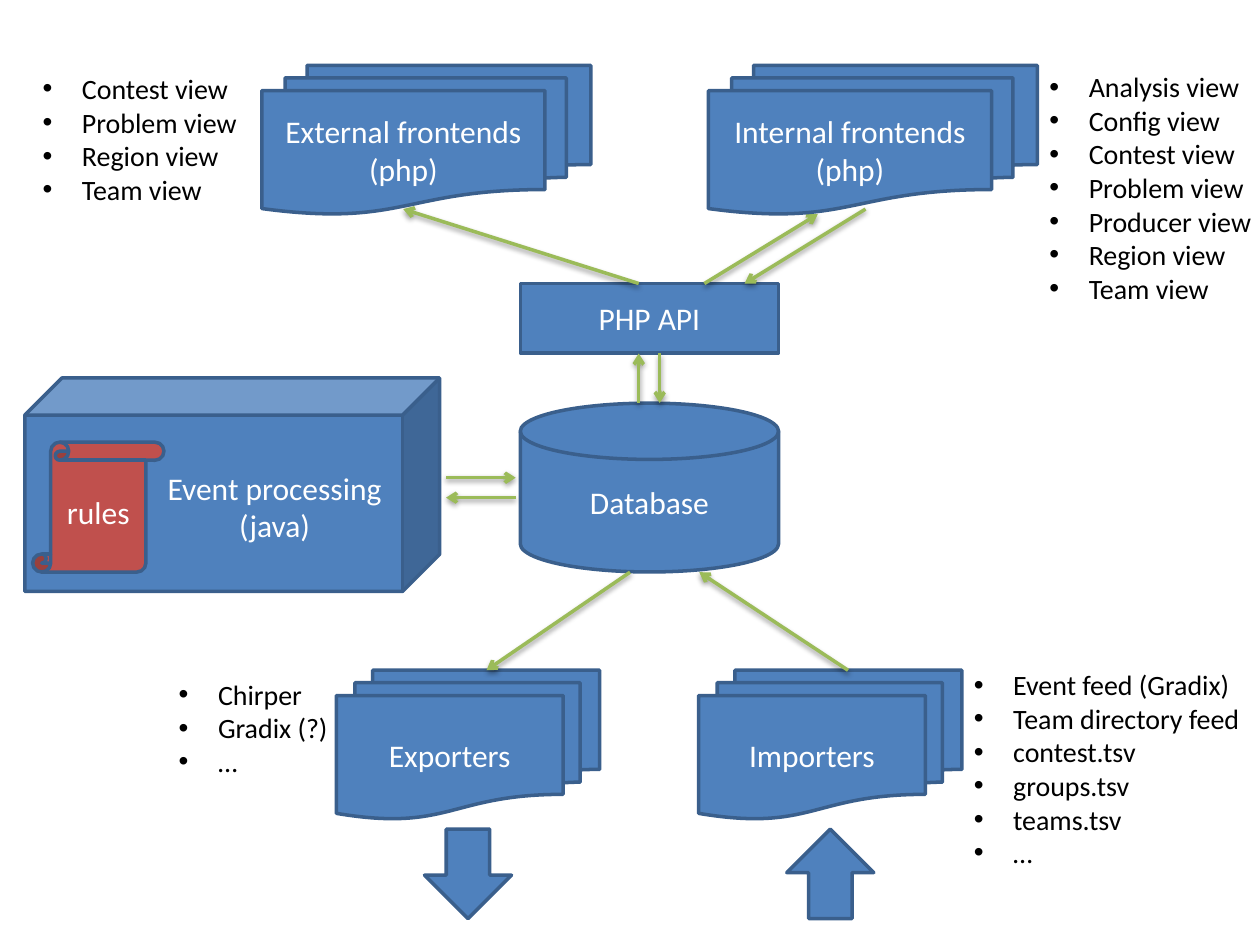
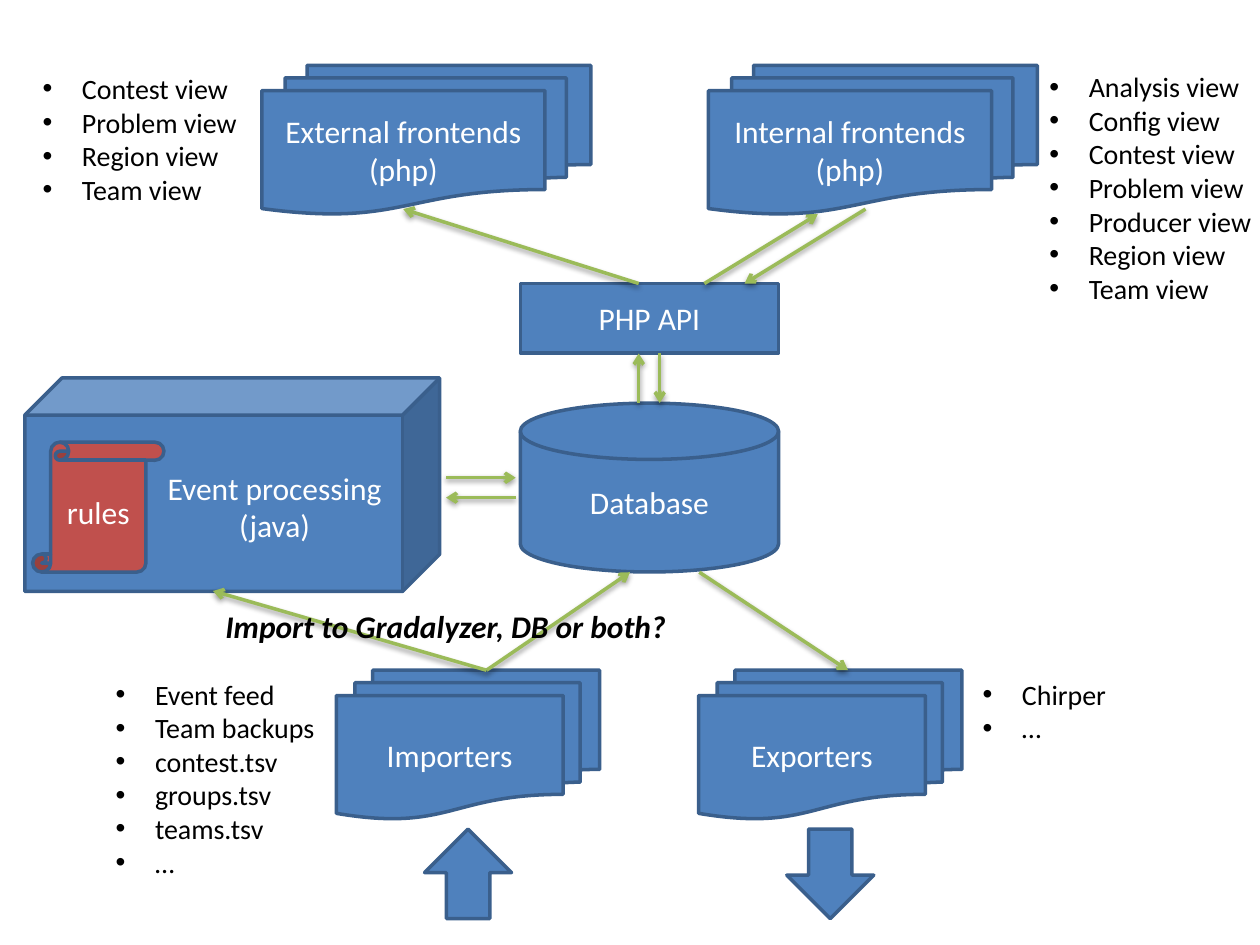
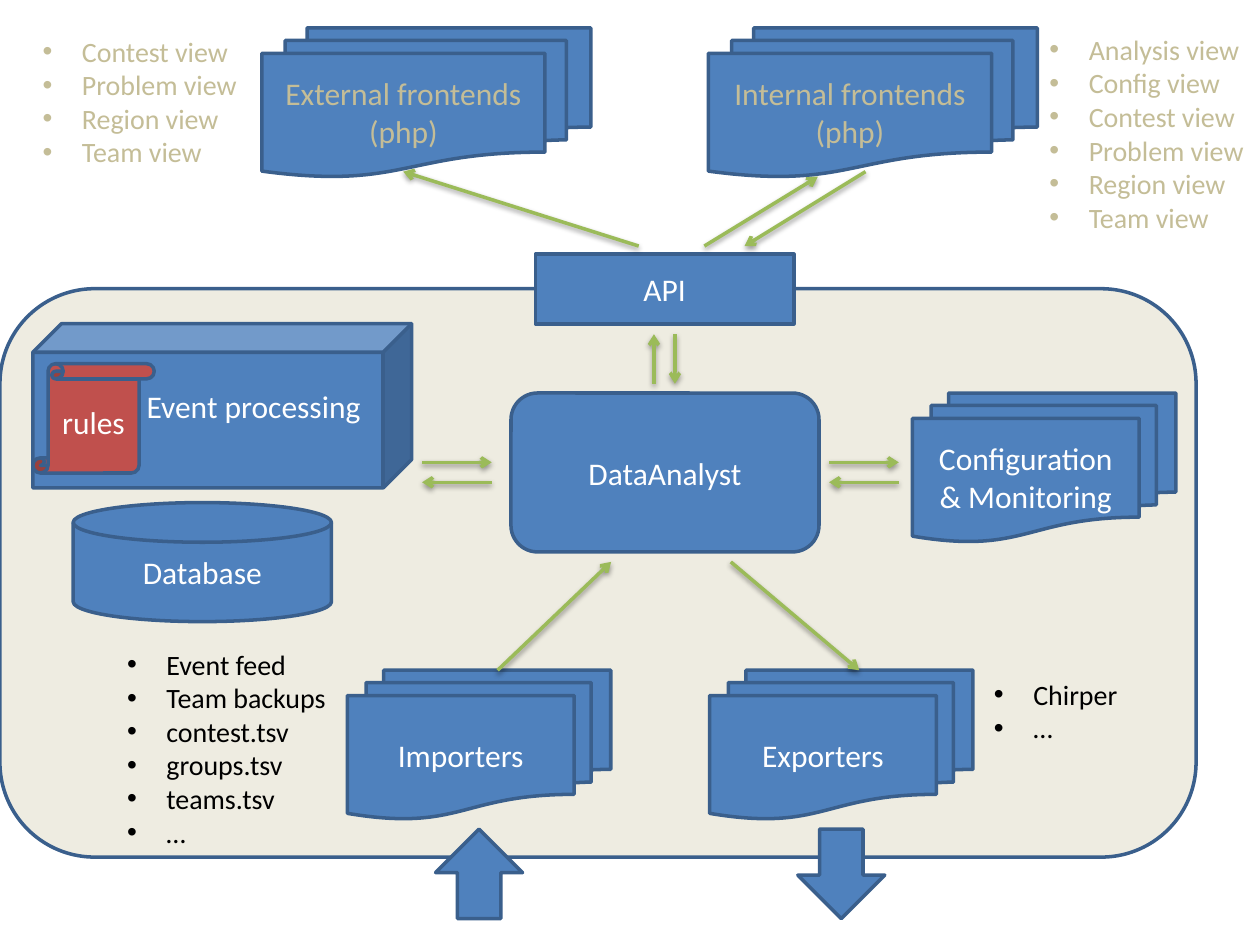
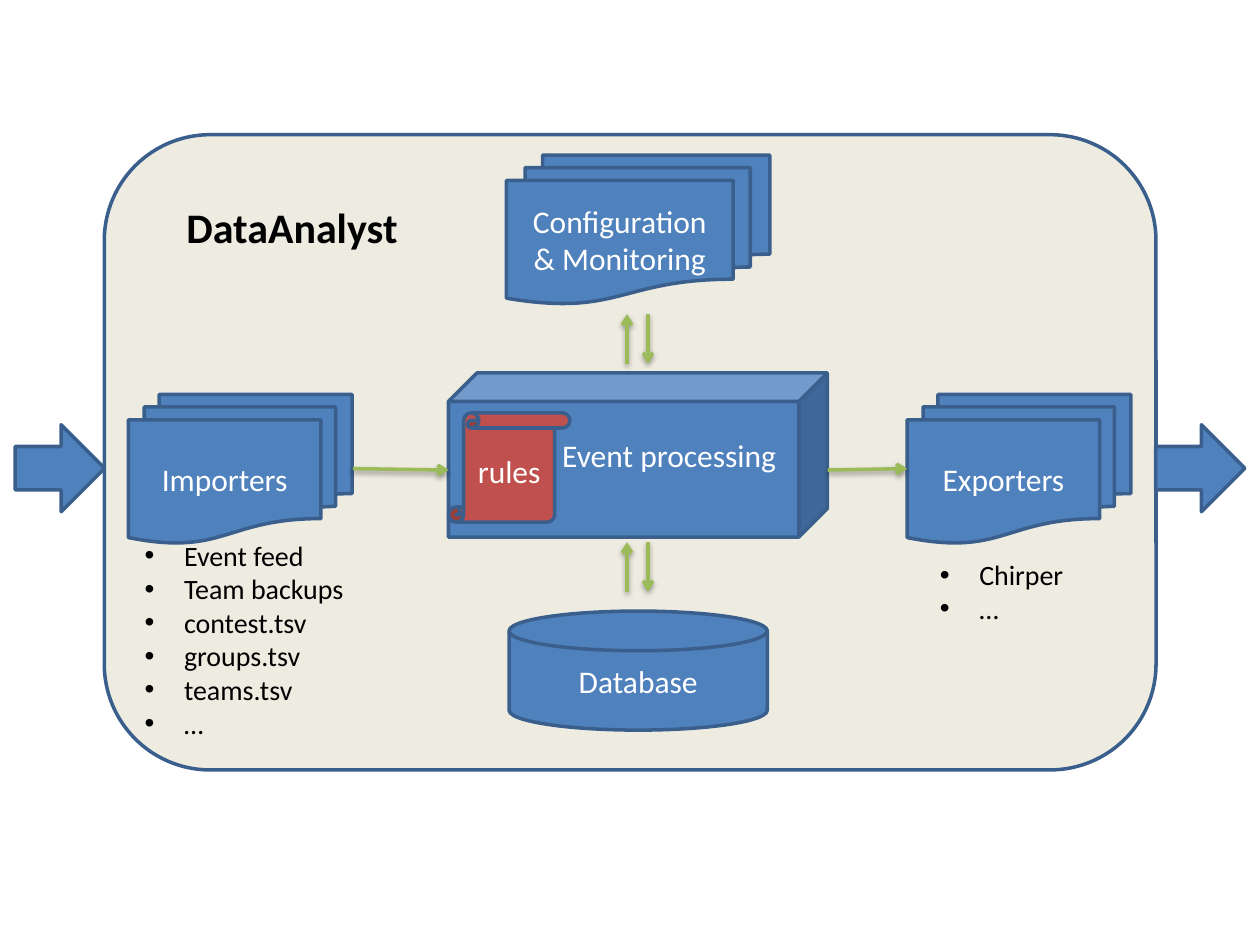
"""Build four architecture diagrams of a contest analysis system."""
from pptx import Presentation
from pptx.dml.color import RGBColor
from pptx.enum.shapes import MSO_CONNECTOR, MSO_SHAPE
from pptx.enum.text import MSO_ANCHOR, MSO_AUTO_SIZE, PP_ALIGN
from pptx.oxml import parse_xml
from pptx.oxml.ns import nsdecls
from pptx.util import Pt

BLUE = RGBColor(0x4F, 0x81, 0xBD)
OUTLINE = RGBColor(0x3A, 0x5F, 0x8C)
RED = RGBColor(0xC0, 0x50, 0x4D)
GREEN = RGBColor(0x9B, 0xBB, 0x59)
CREAM = RGBColor(0xEE, 0xEC, 0xE1)
TAN = RGBColor(0xC4, 0xBD, 0x97)
WHITE = RGBColor(0xFF, 0xFF, 0xFF)
BLACK = RGBColor(0, 0, 0)
FONT = "Calibri"

DOCUMENTS = MSO_SHAPE.FLOWCHART_MULTIDOCUMENT
DISK = MSO_SHAPE.FLOWCHART_MAGNETIC_DISK
PANEL = MSO_SHAPE.ROUNDED_RECTANGLE
ADJUSTMENTS = {MSO_SHAPE.CUBE: 0.174, MSO_SHAPE.VERTICAL_SCROLL: 0.139}

IMPORTS = ["Event feed", "Team backups", "contest.tsv", "groups.tsv", "teams.tsv", "…"]
EXPORTS = ["Chirper", "…"]
EXTERNAL_VIEWS = ["Contest view", "Problem view", "Region view", "Team view"]
INTERNAL_VIEWS = ["Analysis view", "Config view", *EXTERNAL_VIEWS]
PRODUCER_VIEWS = INTERNAL_VIEWS[:4] + ["Producer view"] + INTERNAL_VIEWS[4:]


def add_block(slide, kind, box, lines=(), fill=BLUE, color=WHITE, size=18,
              align=PP_ALIGN.CENTER, bullets=False, bold=False, italic=False, rotation=0):
    """Add a filled shape, or a text box when kind is None."""
    box = [Pt(length) for length in box]
    if kind is None:
        shape = slide.shapes.add_textbox(*box)
        shape.text_frame.word_wrap = False
        shape.text_frame.auto_size = MSO_AUTO_SIZE.SHAPE_TO_FIT_TEXT
    else:
        shape = slide.shapes.add_shape(kind, *box)
        shape.shadow.inherit = False
        shape.fill.solid()
        shape.fill.fore_color.rgb = fill
        shape.line.color.rgb = OUTLINE
        shape.line.width = Pt(2)
        shape.rotation = rotation
        shape.text_frame.vertical_anchor = MSO_ANCHOR.MIDDLE
        if kind in ADJUSTMENTS:
            shape.adjustments[0] = ADJUSTMENTS[kind]
    if not lines:
        return
    shape.text_frame.text = "\n".join(lines)
    for paragraph in shape.text_frame.paragraphs:
        paragraph.alignment = align
        font = paragraph.runs[0].font
        font.name, font.size, font.bold, font.italic = FONT, Pt(size), bold, italic
        font.color.rgb = color
        if bullets:
            properties = paragraph._p.get_or_add_pPr()
            properties.set("marL", str(Pt(22.5)))
            properties.set("indent", str(-Pt(22.5)))
            properties.append(parse_xml(f'<a:buFont {nsdecls("a")} typeface="Arial"/>'))
            properties.append(parse_xml(f'<a:buChar {nsdecls("a")} char="•"/>'))


def add_arrows(slide, *segments):
    """Add shadowed green arrows, each given as start x, y and end x, y."""
    for segment in segments:
        arrow = slide.shapes.add_connector(MSO_CONNECTOR.STRAIGHT, *[Pt(v) for v in segment])
        arrow.line.color.rgb = GREEN
        arrow.line.width = Pt(2)
        arrow.line._get_or_add_ln().append(
            parse_xml(f'<a:tailEnd {nsdecls("a")} type="arrow"/>'))
        arrow._element.spPr.append(parse_xml(
            f'<a:effectLst {nsdecls("a")}>'
            f'<a:outerShdw blurRad="{Pt(3.1)}" dist="{Pt(1.6)}" dir="5400000" rotWithShape="0">'
            '<a:srgbClr val="000000"><a:alpha val="38000"/></a:srgbClr>'
            '</a:outerShdw></a:effectLst>'))


prs = Presentation()
prs.slide_width, prs.slide_height = Pt(720), Pt(540)
slides = [prs.slides.add_slide(prs.slide_layouts[6]) for _ in range(4)]
first, second, third, fourth = slides
listing = dict(color=BLACK, size=16, align=PP_ALIGN.LEFT, bullets=True)

add_block(third, PANEL, (0, 165, 683.5, 324.8), fill=CREAM)
add_block(fourth, PANEL, (59.6, 77, 601, 363), fill=CREAM)

for slide in (first, second):
    add_block(slide, DISK, (297.3, 230.4, 147.6, 96.5), ["Database"])
    add_block(slide, MSO_SHAPE.CUBE, (14.2, 216, 237, 122))
    add_block(slide, MSO_SHAPE.RECTANGLE, (297.3, 162, 147.6, 39.8), ["PHP API"])
    add_block(slide, MSO_SHAPE.VERTICAL_SCROLL, (18.7, 252.7, 75, 74.2), ["rules"], fill=RED)
    add_block(slide, None, (87.8, 264.2, 138.2, 51), ["Event processing", "(java)"])

for slide, left, top in ((third, 18.8, 185), (fourth, 256.3, 213.1)):
    add_block(slide, MSO_SHAPE.CUBE, (left, top, 216.5, 93.8))
    add_block(slide, MSO_SHAPE.VERTICAL_SCROLL, (left, top + 22.8, 69.4, 62.5), ["rules"], fill=RED)
    add_block(slide, None, (left + 57, top + 32.5, 138.2, 29), ["Event processing"])

add_block(third, DISK, (41.8, 287.2, 147.6, 68), ["Database"])
add_block(third, MSO_SHAPE.RECTANGLE, (306, 145.3, 147.6, 39.8), ["API"])
add_block(third, PANEL, (292, 224.6, 176, 90.8), ["DataAnalyst"])
add_block(third, DOCUMENTS, (521.4, 224.6, 150.5, 85), ["Configuration & Monitoring"])

for slide, x, y in ((first, 365, 202), (second, 365, 202), (third, 373.7, 191),
                    (fourth, 358.3, 309.8), (fourth, 358.3, 179.5)):
    add_arrows(slide, (x, y + 28.3, x, y), (x + 12, y, x + 12, y + 28.3))
for slide, x, y in ((first, 254.9, 273), (second, 254.9, 273),
                    (third, 241.2, 264.2), (third, 473.8, 264.2)):
    add_arrows(slide, (x, y, x + 39.8, y), (x + 39.8, y + 11.4, x, y + 11.4))

for slide, shift, rise, left_name, right_name, left_turn, color, views in (
        (first, 0, 0, "Exporters", "Importers", 0, BLACK, PRODUCER_VIEWS),
        (second, 0, 0, "Importers", "Exporters", 180, BLACK, PRODUCER_VIEWS),
        (third, 6.3, 21.4, "Importers", "Exporters", 180, TAN, INTERNAL_VIEWS)):
    for left, name, turn in ((192.2, left_name, left_turn), (399.2, right_name, 180 - left_turn)):
        add_block(slide, DOCUMENTS, (left + shift, 383, 150.5, 85), [name])
        add_block(slide, MSO_SHAPE.DOWN_ARROW, (left + shift + 50.4, 473.8, 49.7, 51.1), rotation=turn)
    add_arrows(slide,
               (365, 162 - rise, 230.4, 119.5 - rise),
               (402.5, 162 - rise, 467.3, 122.4 - rise),
               (494.6, 119.5 - rise, 425.5, 162 - rise))
    for left, name in ((149.6, "External frontends"), (404.8, "Internal frontends")):
        add_block(slide, DOCUMENTS, (left, 37.4 - rise, 188, 85), [name, "(php)"],
                  color=WHITE if color == BLACK else TAN)
    view_list = {**listing, "color": color}
    add_block(slide, None, (17.3, 37.4 - rise, 126.7, 85), EXTERNAL_VIEWS, **view_list)
    add_block(slide, None, (592.6, 36.3 - rise, 131, 19.3 * len(views) + 8), views, **view_list)

add_arrows(first, (360, 327, 278, 383), (484.6, 383, 399.6, 327))
add_block(first, None, (549.4, 378, 168.5, 126),
          ["Event feed (Gradix)", "Team directory feed", *IMPORTS[2:]], **listing)
add_block(first, None, (95, 383.4, 106, 67.7), ["Chirper", "Gradix (?)", "…"], **listing)

add_arrows(second, (278, 383, 360, 327), (399.6, 327, 484.6, 383), (278, 383, 121.7, 337.7))
add_block(second, None, (121.7, 343.4, 290, 28.8), ["Import to Gradalyzer, DB or both?"],
          color=BLACK, align=PP_ALIGN.LEFT, bold=True, italic=True)

add_arrows(third, (284.4, 383, 349.2, 321.1), (417.6, 321.1, 491, 383))

add_block(fourth, DISK, (290.9, 349.2, 147.6, 68), ["Database"])
for left, name in ((73.4, "Importers"), (518.4, "Exporters")):
    add_block(fourth, DOCUMENTS, (left, 225.4, 127.8, 85), [name])
for left in (9.4, 661):
    add_block(fourth, MSO_SHAPE.DOWN_ARROW, (left, 242, 49.7, 51.1), rotation=270)
add_arrows(fourth, (201.6, 267.8, 256.3, 268.6), (473, 268.6, 518.4, 267.8))
add_block(fourth, DOCUMENTS, (289.4, 88.6, 150.5, 85), ["Configuration & Monitoring"])
add_block(fourth, None, (99.4, 111.6, 138.2, 36), ["DataAnalyst"],
          color=BLACK, size=24, align=PP_ALIGN.LEFT, bold=True)

for slide, import_spot, export_spot in ((second, (59, 383.4), (554.4, 383.4)),
                                        (third, (65.5, 366.3), (560.9, 383.4)),
                                        (fourth, (75.6, 304), (530, 315.2))):
    add_block(slide, None, (*import_spot, 131, 124), IMPORTS, **listing)
    add_block(slide, None, (*export_spot, 96, 46), EXPORTS, **listing)

prs.save("out.pptx")
